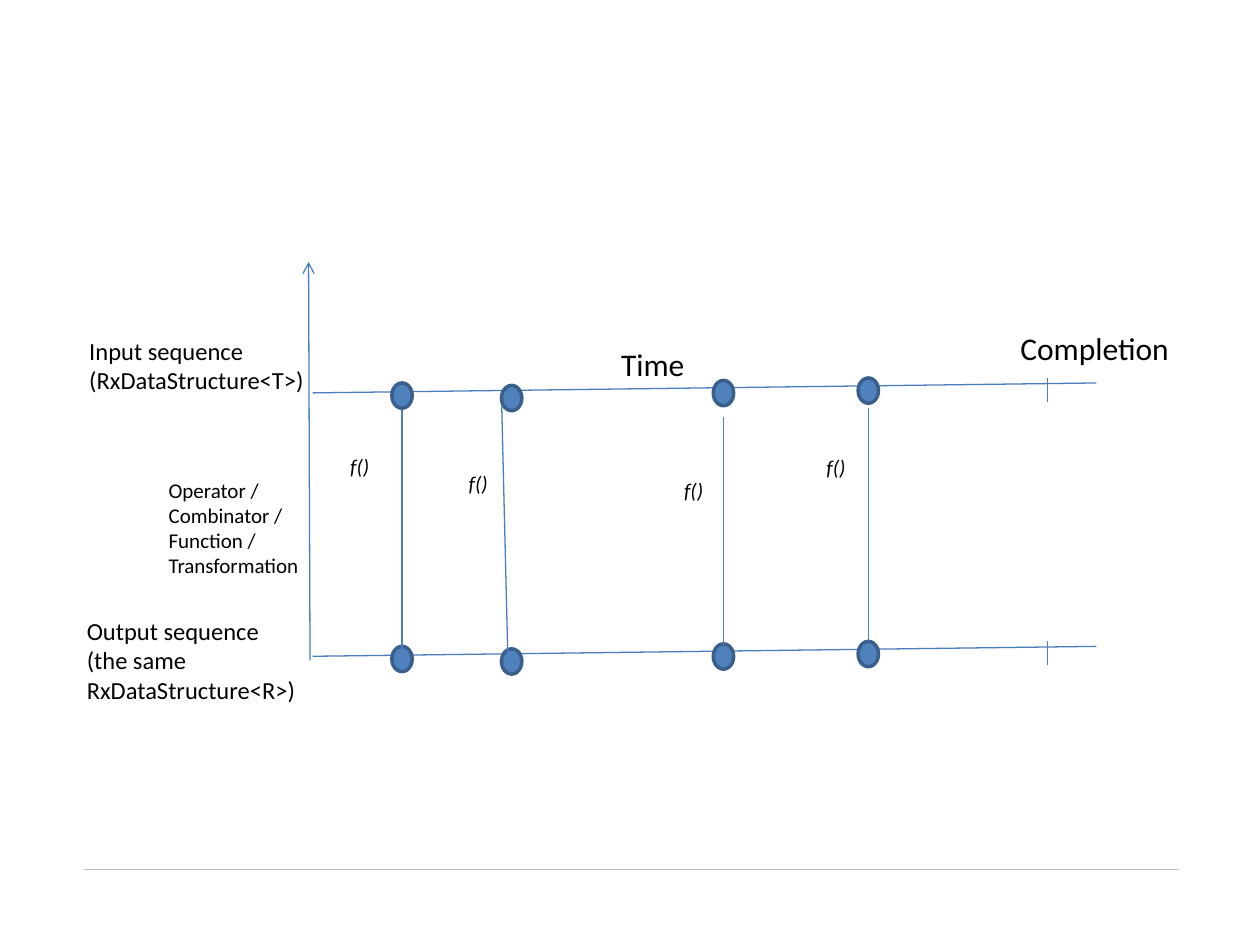
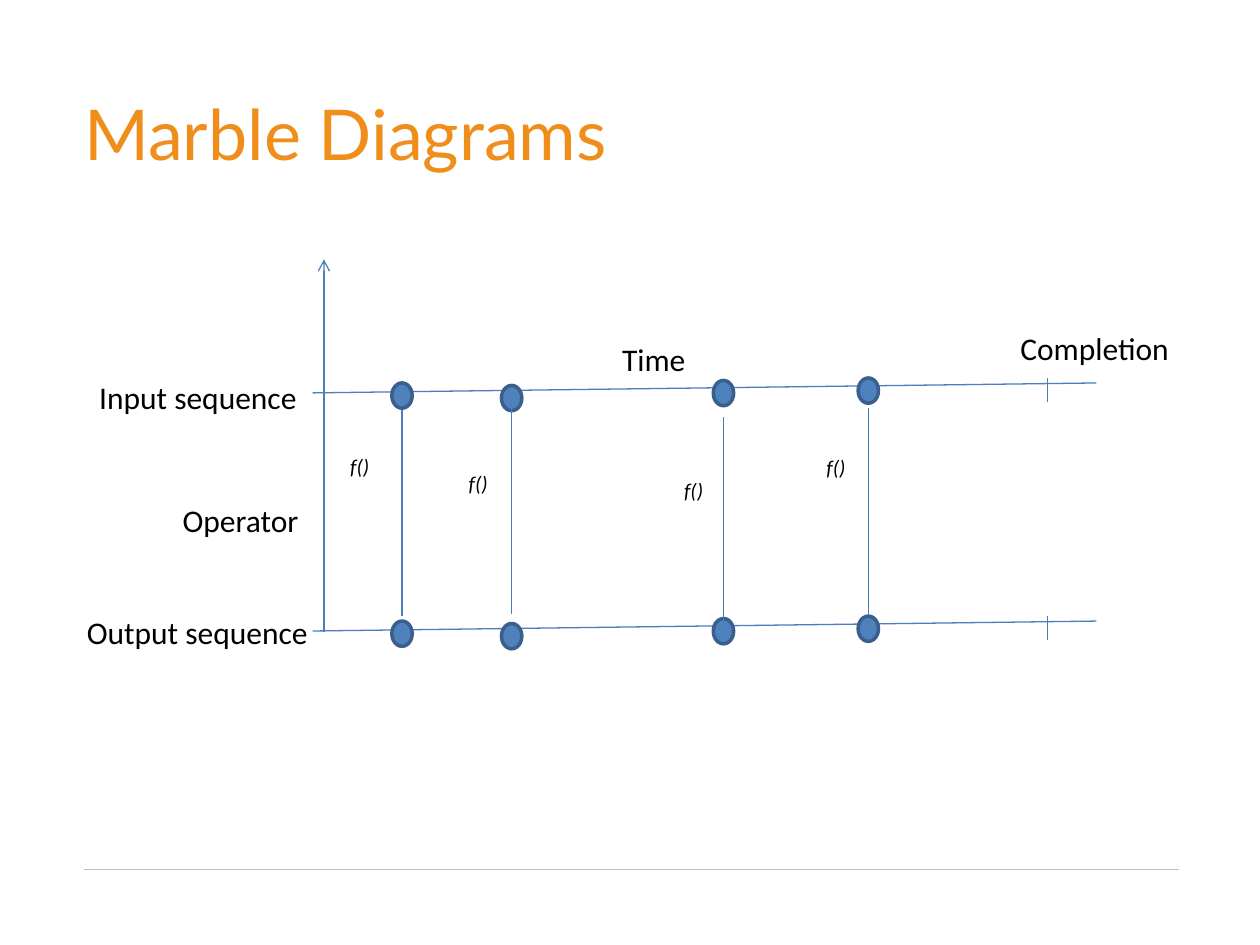
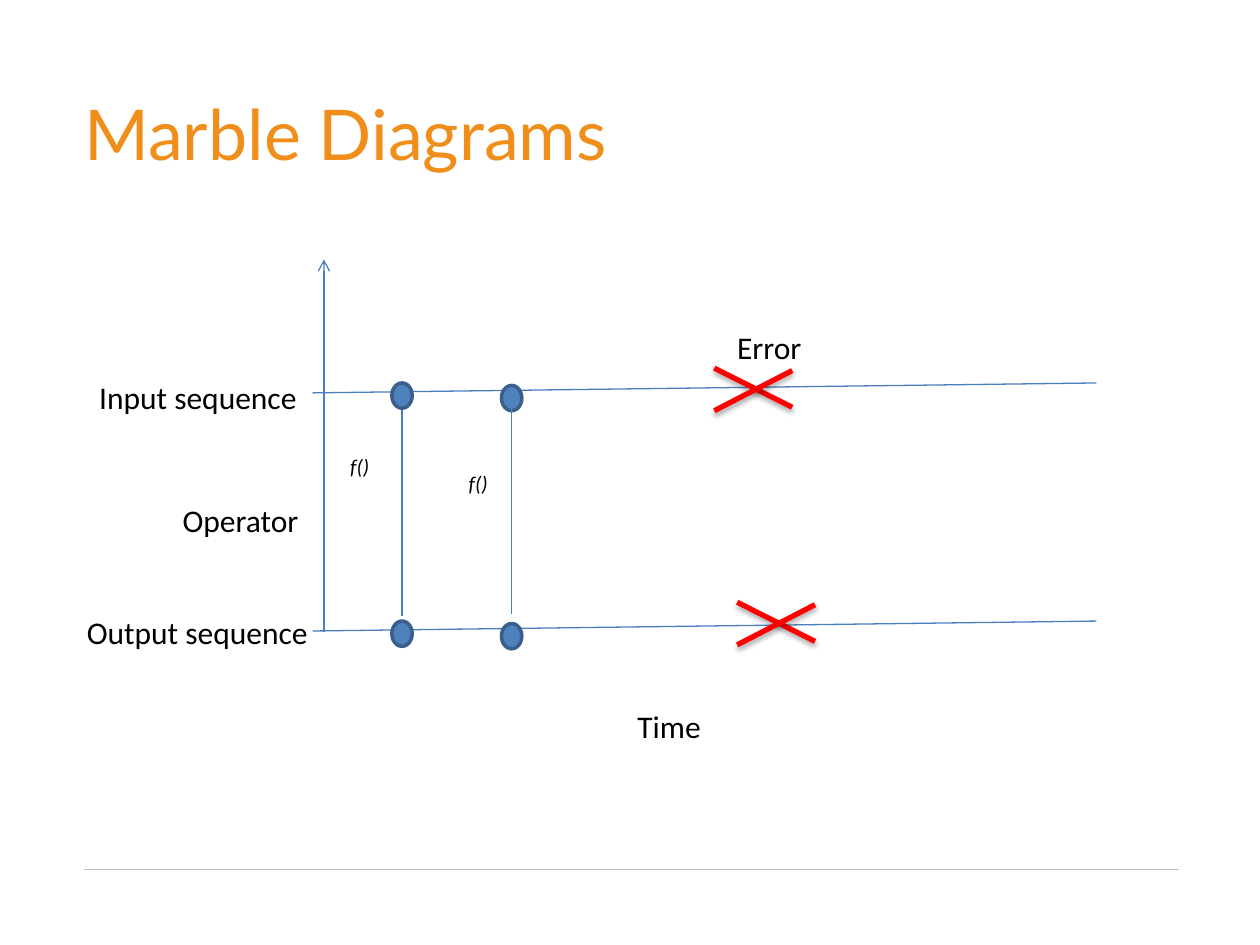
from dataclasses import dataclass

from pptx import Presentation
from pptx.dml.color import RGBColor
from pptx.enum.shapes import MSO_CONNECTOR, MSO_SHAPE
from pptx.enum.text import MSO_ANCHOR, MSO_AUTO_SIZE, PP_ALIGN
from pptx.oxml import parse_xml
from pptx.oxml.ns import nsdecls, qn
from pptx.util import Cm, Pt


@dataclass(frozen=True)
class Theme:
    title: RGBColor = RGBColor(0xF0, 0x8E, 0x1B)
    text: RGBColor = RGBColor(0, 0, 0)
    line: RGBColor = RGBColor(0x4B, 0x7E, 0xBC)
    marble: RGBColor = RGBColor(0x4F, 0x81, 0xBD)
    marble_edge: RGBColor = RGBColor(0x3A, 0x5F, 0x8C)
    error: RGBColor = RGBColor(0xFF, 0, 0)
    rule: RGBColor = RGBColor(0xBF, 0xBF, 0xBF)
    title_font: str = "Lato"
    body_font: str = "Calibri"
    title_size: int = 40
    label_size: int = 18
    detail_size: int = 14
    small_size: int = 12
    thin: float = 0.75
    edge: float = 2
    thick: float = 3


THEME = Theme()
DIAGRAM = (6.3, 7.62)
TIMELINE_WIDTH = 15.8
MARBLE_SIZE = (0.41, 0.51)
MARBLES = [(1.6, 0.1), (3.81, 0.15), (8.08, 0.05), (11, 0)]
DROP_STARTS = [0.64, 0.56, 0.79, 0.61]
FUNCTION_LABELS = [(0.51, 1.4), (2.9, 1.75), (7.24, 1.88), (10.11, 1.42)]
TICK_X, TICK_HEIGHT = 14.81, 0.48
SHADOW = (
    f'<a:effectLst {nsdecls("a")}><a:outerShdw blurRad="40000" dist="23000" '
    'dir="5400000" rotWithShape="0"><a:srgbClr val="000000">'
    '<a:alpha val="35000"/></a:srgbClr></a:outerShdw></a:effectLst>'
)
NO_EFFECT = f'<a:effectLst {nsdecls("a")}/>'
ARROW = f'<a:tailEnd {nsdecls("a")} type="arrow"/>'


def add_line(shapes, origin, start, end, color=THEME.line, width=THEME.thin,
             effect=NO_EFFECT, arrow=False):
    left, top = origin
    cxn = shapes.add_connector(
        MSO_CONNECTOR.STRAIGHT, Cm(left + start[0]), Cm(top + start[1]),
        Cm(left + end[0]), Cm(top + end[1]))
    cxn.line.color.rgb = color
    cxn.line.width = Pt(width)
    spPr = cxn.element.spPr
    if arrow:
        spPr.find(qn("a:ln")).append(parse_xml(ARROW))
    spPr.append(parse_xml(effect))
    return cxn


def format_runs(tf, font, size, color, italic=None):
    for p in tf.paragraphs:
        p.alignment = PP_ALIGN.LEFT
        for r in p.runs:
            r.font.name = font
            r.font.size = Pt(size)
            r.font.color.rgb = color
            r.font.italic = italic


def add_label(shapes, origin, text, x, y, width, size=THEME.label_size, italic=None):
    height = 0.25 + 0.043 * size * len(text.split("\n"))
    tf = shapes.add_textbox(Cm(origin[0] + x), Cm(origin[1] + y),
                            Cm(width), Cm(height)).text_frame
    tf.text = text
    tf.word_wrap = False
    tf.auto_size = MSO_AUTO_SIZE.SHAPE_TO_FIT_TEXT
    format_runs(tf, THEME.body_font, size, THEME.text, italic)


def add_timeline(slide, origin, count, completes):
    shapes = slide.shapes.add_group_shape().shapes
    add_line(shapes, origin, (0, 0.3), (TIMELINE_WIDTH, 0.1))
    for x, y in MARBLES[:count]:
        sp = shapes.add_shape(MSO_SHAPE.OVAL, Cm(origin[0] + x), Cm(origin[1] + y),
                              *map(Cm, MARBLE_SIZE))
        sp.shadow.inherit = False
        sp.fill.solid()
        sp.fill.fore_color.rgb = THEME.marble
        sp.line.color.rgb = THEME.marble_edge
        sp.line.width = Pt(THEME.edge)
    if completes:
        add_line(shapes, origin, (TICK_X, 0), (TICK_X, TICK_HEIGHT))


def add_error_cross(slide, origin):
    shapes = slide.shapes.add_group_shape().shapes
    for start, end in [((0, 0), (1.57, 0.79)), ((1.57, 0.05), (0, 0.86))]:
        add_line(shapes, origin, start, end, THEME.error, THEME.thick, SHADOW)


def add_diagram(slide, origin, output_y, drop_ends, axis, labels,
                completes=True, drop_shifts=None):
    left, top = origin
    count = len(drop_ends)
    for y in (0, output_y):
        add_timeline(slide, (left, top + y), count, completes)
    shifts = drop_shifts or [(0, 0)] * count
    for (x, _), start, end, (dx0, dx1) in zip(MARBLES, DROP_STARTS, drop_ends, shifts):
        centre = x + MARBLE_SIZE[0] / 2
        add_line(slide.shapes, origin, (centre + dx0, start), (centre + dx1, end))
    for x, y in FUNCTION_LABELS[:count]:
        add_label(slide.shapes, origin, "f()", x, y, 0.89, THEME.small_size, True)
    add_line(slide.shapes, origin, *axis, arrow=True)
    for label in labels:
        add_label(slide.shapes, origin, *label)


def add_title(slide, text):
    sp = slide.shapes.title
    sp.left, sp.top, sp.width, sp.height = Cm(1.7), Cm(1.32), Cm(22.2), Cm(2.82)
    tf = sp.text_frame
    tf.text = text
    tf.margin_left = tf.margin_top = 0
    tf.margin_right, tf.margin_bottom = Cm(0.25), Cm(0.13)
    tf.vertical_anchor = MSO_ANCHOR.MIDDLE
    format_runs(tf, THEME.title_font, THEME.title_size, THEME.title)


def add_master_rule(prs, slide):
    rule = add_line(slide.shapes, (1.7, 17.53), (0, 0), (22.07, 0), THEME.rule)
    prs.slide_master.shapes.element.append(rule.element)


def build_overview(prs):
    slide = prs.slides.add_slide(prs.slide_layouts[6])
    add_master_rule(prs, slide)
    labels = [
        ("Input sequence\n(RxDataStructure<T>)", -4.75, -0.97, 4.88, THEME.detail_size),
        ("Output sequence\n(the same\nRxDataStructure<R>)", -4.8, 4.67, 4.75,
         THEME.detail_size),
        ("Time", 5.97, -0.79, 1.8),
        ("Operator /\nCombinator /\nFunction /\nTransformation", -3.15, 1.88, 3.15,
         THEME.small_size),
        ("Completion", 14.02, -1.12, 3.56),
    ]
    add_diagram(slide, DIAGRAM, 5.31, [5.44, 5.54, 5.38, 5.31],
                ((-0.05, 5.69), (-0.08, -2.34)), labels,
                drop_shifts=[(0, 0), (-0.2, -0.08), (0, 0), (0, 0)])


def build_marble_slide(prs, drop_ends, extra_labels, crosses=()):
    slide = prs.slides.add_slide(prs.slide_layouts[5])
    add_title(slide, "Marble Diagrams")
    labels = [
        ("Input sequence", -4.55, -0.13, 4.55),
        ("Output sequence", -4.8, 4.62, 5.03),
        ("Operator", -2.87, 2.36, 2.87),
        *extra_labels,
    ]
    add_diagram(slide, DIAGRAM, 4.8, drop_ends, ((0.23, 5.13), (0.23, -2.39)),
                labels, completes=not crosses)
    for x, y in crosses:
        add_error_cross(slide, (DIAGRAM[0] + x, DIAGRAM[1] + y))


def main():
    prs = Presentation()
    prs.slide_width, prs.slide_height = Cm(25.4), Cm(19.05)
    build_overview(prs)
    build_marble_slide(prs, [4.8, 4.75, 4.95, 4.78],
                       [("Time", 5.99, -0.89, 1.8), ("Completion", 14.02, -1.12, 3.56)])
    build_marble_slide(prs, [4.8, 4.75],
                       [("Time", 6.3, 6.5, 1.8), ("Error", 8.31, -1.14, 1.83)],
                       crosses=[(8.1, -0.2), (8.56, 4.52)])
    prs.save("out.pptx")


if __name__ == "__main__":
    main()
